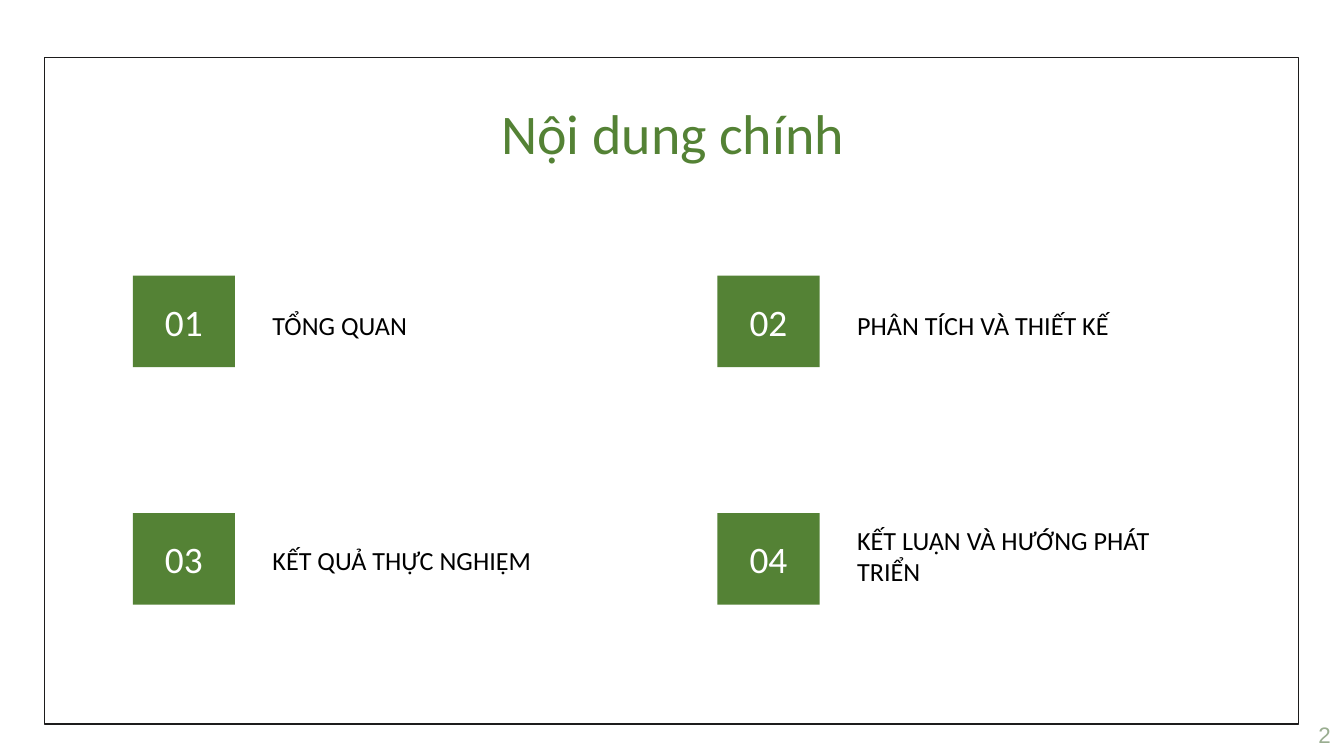
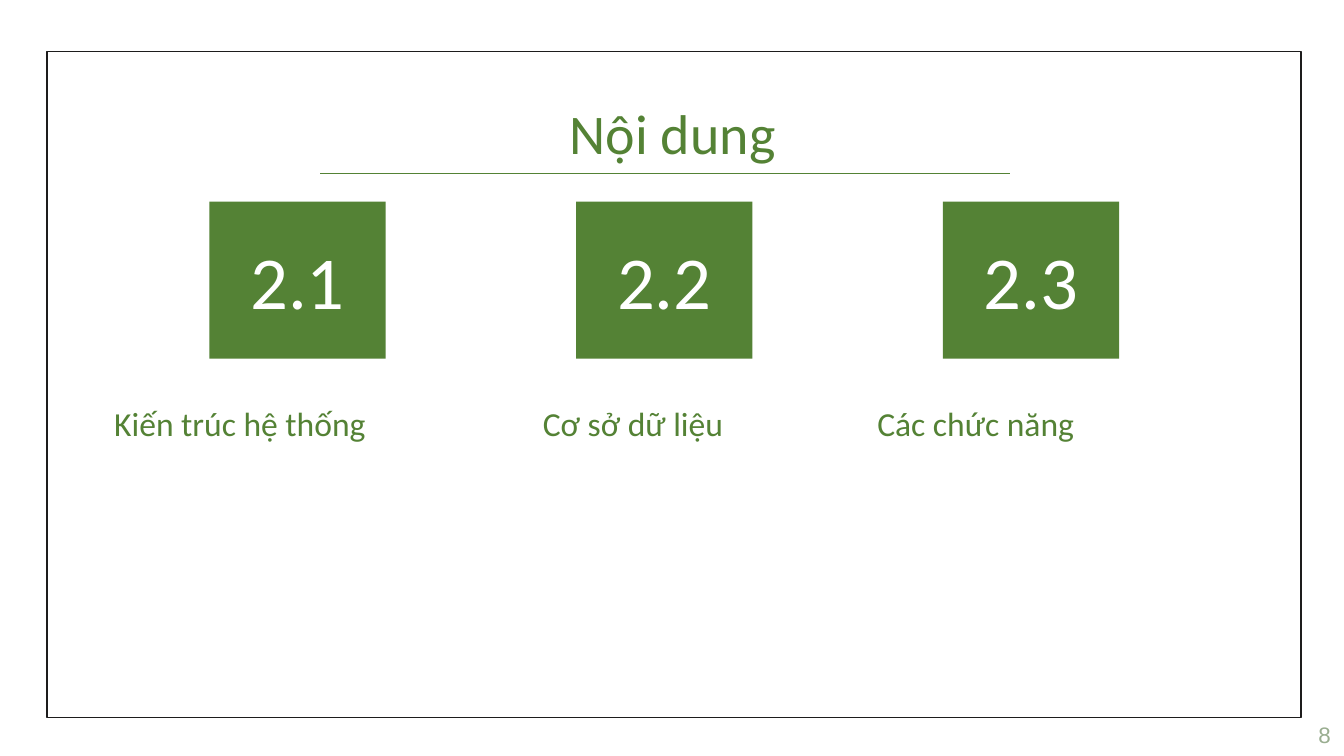
from dataclasses import dataclass

import pptx
import pptx.dml.color
import pptx.enum.shapes
import pptx.enum.text
import pptx.oxml.ns
import pptx.util
from lxml import etree

Cm = pptx.util.Cm
Pt = pptx.util.Pt
ALIGN = pptx.enum.text.PP_ALIGN
ANCHOR = pptx.enum.text.MSO_ANCHOR

COLORS = {
    "white": "FFFFFF",
    "black": "000000",
    "border": "1D1C1C",
    "green": "548235",
    "page": "99AD90",
}
INSET = 0.25


@dataclass(frozen=True)
class Box:
    """Position and size in centimetres."""
    x: float
    y: float
    w: float
    h: float


@dataclass(frozen=True)
class TextStyle:
    size: int
    color: str
    font: str = "Calibri"
    align: ALIGN = ALIGN.LEFT
    anchor: ANCHOR = ANCHOR.TOP
    top: float = INSET
    bottom: float = INSET


@dataclass(frozen=True)
class AgendaItem:
    label: str
    width: float
    drop: float  # label top below the top of its tile


@dataclass(frozen=True)
class Section:
    label: str
    x: float
    width: float


TITLE = TextStyle(30, "green", align=ALIGN.CENTER, anchor=ANCHOR.MIDDLE)
PAGE = TextStyle(12, "page", "Arial", ALIGN.RIGHT, ANCHOR.MIDDLE, 0.13, 0.13)
AGENDA_NUMBER = TextStyle(20, "white", align=ALIGN.CENTER, anchor=ANCHOR.MIDDLE)
AGENDA_LABEL = TextStyle(14, "black", top=0)
SECTION_NUMBER = TextStyle(40, "white", align=ALIGN.CENTER, anchor=ANCHOR.MIDDLE)
SECTION_LABEL = TextStyle(18, "green", top=0.13, bottom=0.13)

AGENDA = [
    AgendaItem("TỔNG QUAN", 6.93, 0.63),
    AgendaItem("PHÂN TÍCH VÀ THIẾT KẾ", 8, 0.63),
    AgendaItem("KẾT QUẢ THỰC NGHIỆM", 7.8, 0.59),
    AgendaItem("KẾT LUẬN VÀ HƯỚNG PHÁT TRIỂN", 6.73, 0.21),
]
SECTIONS = [
    Section("Kiến trúc hệ thống", 1.91, 8.28),
    Section("Cơ sở dữ liệu", 10.01, 5.36),
    Section("Các chức năng", 16.33, 6.3),
]


def rgb(name: str) -> pptx.dml.color.RGBColor:
    return pptx.dml.color.RGBColor.from_string(COLORS[name])


def write(sp, text: str, style: TextStyle) -> None:
    tf = sp.text_frame
    tf.word_wrap = True
    tf.vertical_anchor = style.anchor
    tf.margin_left = tf.margin_right = Cm(INSET)
    tf.margin_top, tf.margin_bottom = Cm(style.top), Cm(style.bottom)
    tf.text = text
    p = tf.paragraphs[0]
    p.alignment = style.align
    font = p.runs[0].font
    font.size, font.name = Pt(style.size), style.font
    font.color.rgb = rgb(style.color)


def add_text(slide, box: Box, text: str, style: TextStyle) -> None:
    sp = slide.shapes.add_textbox(Cm(box.x), Cm(box.y), Cm(box.w), Cm(box.h))
    write(sp, text, style)


def add_rect(slide, box: Box, fill: str, line: str | None = None):
    sp = slide.shapes.add_shape(pptx.enum.shapes.MSO_SHAPE.RECTANGLE,
                                Cm(box.x), Cm(box.y), Cm(box.w), Cm(box.h))
    sp.shadow.inherit = False
    sp.fill.solid()
    sp.fill.fore_color.rgb = rgb(fill)
    if line:
        sp.line.color.rgb = rgb(line)
        sp.line.width = Pt(0.75)
    else:
        sp.line.fill.background()
    return sp


def add_tile(slide, box: Box, text: str, style: TextStyle) -> None:
    write(add_rect(slide, box, "green"), text, style)


def add_rule(slide, x1: float, x2: float, y: float) -> None:
    line = slide.shapes.add_connector(pptx.enum.shapes.MSO_CONNECTOR.STRAIGHT,
                                      Cm(x1), Cm(y), Cm(x2), Cm(y))
    line.line.color.rgb = rgb("green")
    line.line.width = Pt(0.75)
    etree.SubElement(line._element.spPr, pptx.oxml.ns.qn("a:effectLst"))


def add_base(prs, title: str, page: int, frame_x: float, frame_y: float):
    """Slide with the bordered frame, title and page number."""
    slide = prs.slides.add_slide(prs.slide_layouts[6])
    add_rect(slide, Box(frame_x, frame_y, 23.7, 12.6), "white", "border")
    add_text(slide, Box(2.01, 1.5, 21.41, 1.98), title, TITLE)
    add_text(slide, Box(19.48, 13.51, 5.92, 0.76), str(page), PAGE)
    return slide


def build_agenda(prs) -> None:
    slide = add_base(prs, "Nội dung chính", 2, 0.84, 1.09)
    # Two-by-two grid of numbered tiles with labels on the right
    for i, item in enumerate(AGENDA):
        row, col = divmod(i, 2)
        x, y = 2.51 + col * 11.05, 5.21 + row * 4.49
        add_tile(slide, Box(x, y, 1.93, 1.73), f"{i + 1:02}", AGENDA_NUMBER)
        add_text(slide, Box(x + 2.39, y + item.drop, item.width, 1.3),
                 item.label, AGENDA_LABEL)


def build_sections(prs) -> None:
    slide = add_base(prs, "Nội dung", 8, 0.89, 0.97)
    add_rule(slide, 6.05, 19.08, 3.28)
    # Row of section tiles with labels below
    for i, section in enumerate(SECTIONS):
        add_tile(slide, Box(3.96 + i * 6.93, 3.81, 3.33, 2.97),
                 f"2.{i + 1}", SECTION_NUMBER)
        add_text(slide, Box(section.x, 7.49, section.width, 1.02),
                 section.label, SECTION_LABEL)


def main() -> None:
    prs = pptx.Presentation()
    prs.slide_width, prs.slide_height = Cm(25.4), Cm(14.29)
    build_agenda(prs)
    build_sections(prs)
    prs.save("out.pptx")


if __name__ == "__main__":
    main()
